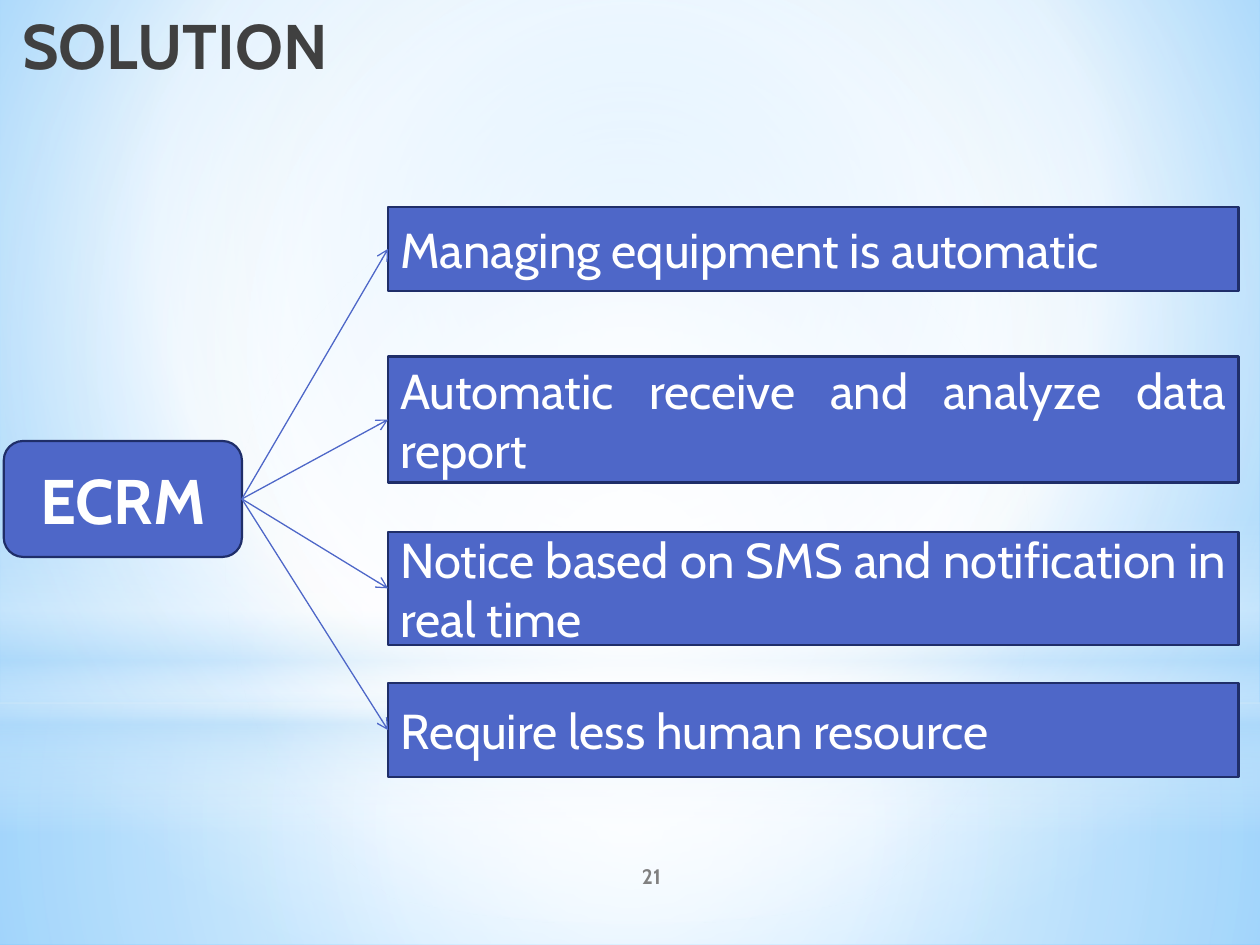
from dataclasses import dataclass

from lxml.etree import SubElement
from pptx import Presentation
from pptx.dml.color import RGBColor
from pptx.enum.shapes import MSO_CONNECTOR, MSO_SHAPE
from pptx.enum.text import MSO_ANCHOR, MSO_AUTO_SIZE, PP_ALIGN
from pptx.oxml import parse_xml
from pptx.oxml.ns import nsdecls, qn
from pptx.util import Inches, Pt


@dataclass(frozen=True)
class Theme:
    font: str = "Cabin"
    accent: str = "4E67C8"
    outline: str = "1F2E69"
    light: str = "FFFFFF"
    heading: str = "404040"
    muted: str = "808080"
    sky: str = "B4DCFA"
    sky_edge: str = "9ED5FF"
    sky_deep: str = "5BB9FF"
    heading_size: int = 36
    body_size: int = 28
    number_size: int = 12
    outline_width: float = 1.25
    arrow_width: float = 0.75


class SlideBuilder:
    """Draws styled elements on the current slide."""

    def __init__(self, slide, theme):
        self.slide = slide
        self.theme = theme

    def gradient(self, fill, owner, stops, center=None):
        fill.solid()
        fill.fore_color.rgb = RGBColor.from_string(self.theme.light)
        solid = next(owner.iter(qn("a:solidFill")))
        stop_xml = "".join(
            f'<a:gs pos="{position * 1000}"><a:srgbClr val="{color}">'
            f'<a:alpha val="{opacity * 1000}"/></a:srgbClr></a:gs>'
            for position, color, opacity in stops
        )
        if center:
            sides = " ".join(f'{side}="{value * 1000}"' for side, value in zip("ltrb", center))
            direction = f'<a:path path="circle"><a:fillToRect {sides}/></a:path>'
        else:
            direction = '<a:lin ang="5400000" scaled="0"/>'
        gradient = parse_xml(
            f'<a:gradFill {nsdecls("a")} rotWithShape="1">'
            f"<a:gsLst>{stop_xml}</a:gsLst>{direction}</a:gradFill>"
        )
        solid.getparent().replace(solid, gradient)

    def background(self, stops, center):
        self.gradient(self.slide.background.fill, self.slide.element, stops, center)

    def shape(self, kind, box):
        shape = self.slide.shapes.add_shape(kind, *map(Inches, box))
        shape.shadow.inherit = False
        return shape

    def glow(self, kind, box, stops, center=None):
        glow = self.shape(kind, box)
        glow.line.fill.background()
        self.gradient(glow.fill, glow.element, stops, center)

    def label(self, frame, text, size, color, align, bold=False, anchor=MSO_ANCHOR.MIDDLE):
        frame.word_wrap = True
        frame.auto_size = MSO_AUTO_SIZE.NONE
        frame.vertical_anchor = anchor
        paragraph = frame.paragraphs[0]
        paragraph.alignment = align
        run = paragraph.add_run()
        run.text = text
        run.font.name = self.theme.font
        run.font.size = Pt(size)
        run.font.bold = bold
        run.font.color.rgb = RGBColor.from_string(color)

    def card(self, kind, box, text, size, align, bold=False):
        card = self.shape(kind, box)
        card.fill.solid()
        card.fill.fore_color.rgb = RGBColor.from_string(self.theme.accent)
        card.line.color.rgb = RGBColor.from_string(self.theme.outline)
        card.line.width = Pt(self.theme.outline_width)
        self.label(card.text_frame, text, size, self.theme.light, align, bold)
        return card

    def arrow(self, source, target):
        arrow = self.slide.shapes.add_connector(MSO_CONNECTOR.STRAIGHT, 0, 0, 0, 0)
        arrow.begin_connect(source, 3)
        arrow.end_connect(target, 1)
        arrow.line.color.rgb = RGBColor.from_string(self.theme.accent)
        arrow.line.width = Pt(self.theme.arrow_width)
        properties = arrow.element.spPr
        SubElement(properties.find(qn("a:ln")), qn("a:tailEnd"), type="arrow")
        SubElement(properties, qn("a:effectLst"))

    def title(self, box, text):
        title = self.slide.shapes.title
        title.left, title.top, title.width, title.height = map(Inches, box)
        self.label(title.text_frame, text, self.theme.heading_size, self.theme.heading,
                   PP_ALIGN.RIGHT, True, MSO_ANCHOR.TOP)
        title.element.getparent().append(title.element)

    def page_number(self, box, text):
        number = self.slide.shapes.add_textbox(*map(Inches, box))
        self.label(number.text_frame, text, self.theme.number_size, self.theme.muted,
                   PP_ALIGN.CENTER, True)


def main():
    theme = Theme()
    deck = Presentation()
    deck.slide_width, deck.slide_height = Inches(10), Inches(7.5)
    builder = SlideBuilder(deck.slides.add_slide(deck.slide_layouts[5]), theme)

    white, sky = theme.light, theme.sky
    middle = (50, 50, 50, 50)
    builder.background([(0, theme.sky_edge, 100), (60, white, 100), (100, theme.sky_deep, 100)],
                       (20, 10, 20, 60))
    builder.glow(MSO_SHAPE.RECTANGLE, (0, 5.58, 10, 1.92),
                 [(0, white, 91), (37, white, 76), (100, sky, 79)], middle)
    builder.glow(MSO_SHAPE.RECTANGLE, (0, 0, 10, 5.58),
                 [(0, white, 89), (48, white, 62), (100, sky, 79)], middle)
    builder.glow(MSO_SHAPE.RECTANGLE, (0, 4.12, 10, 2.5),
                 [(0, white, 0), (29, white, 30), (45, sky, 40),
                  (55, white, 26), (65, sky, 60), (100, white, 0)])
    builder.glow(MSO_SHAPE.OVAL, (0, 1.75, 10, 5.58),
                 [(0, white, 100), (56, white, 0)], middle)

    builder.page_number((4.17, 6.75, 2, 0.4), "21")
    system = builder.card(MSO_SHAPE.ROUNDED_RECTANGLE, (0.03, 3.5, 1.89, 0.92), "ECRM",
                          theme.heading_size, PP_ALIGN.CENTER, True)
    benefits = [
        (1.64, 0.67, "Managing equipment is automatic"),
        (2.83, 1, "Automatic receive and analyze data report"),
        (4.22, 0.9, "Notice based on SMS and notification in real time"),
        (5.42, 0.75, "Require less human resource"),
    ]
    for top, height, text in benefits:
        benefit = builder.card(MSO_SHAPE.RECTANGLE, (3.08, top, 6.75, height), text,
                               theme.body_size, PP_ALIGN.JUSTIFY)
        builder.arrow(system, benefit)
    builder.title((0.03, 0, 2.67, 0.88), "SOLUTION")

    deck.save("out.pptx")


if __name__ == "__main__":
    main()
